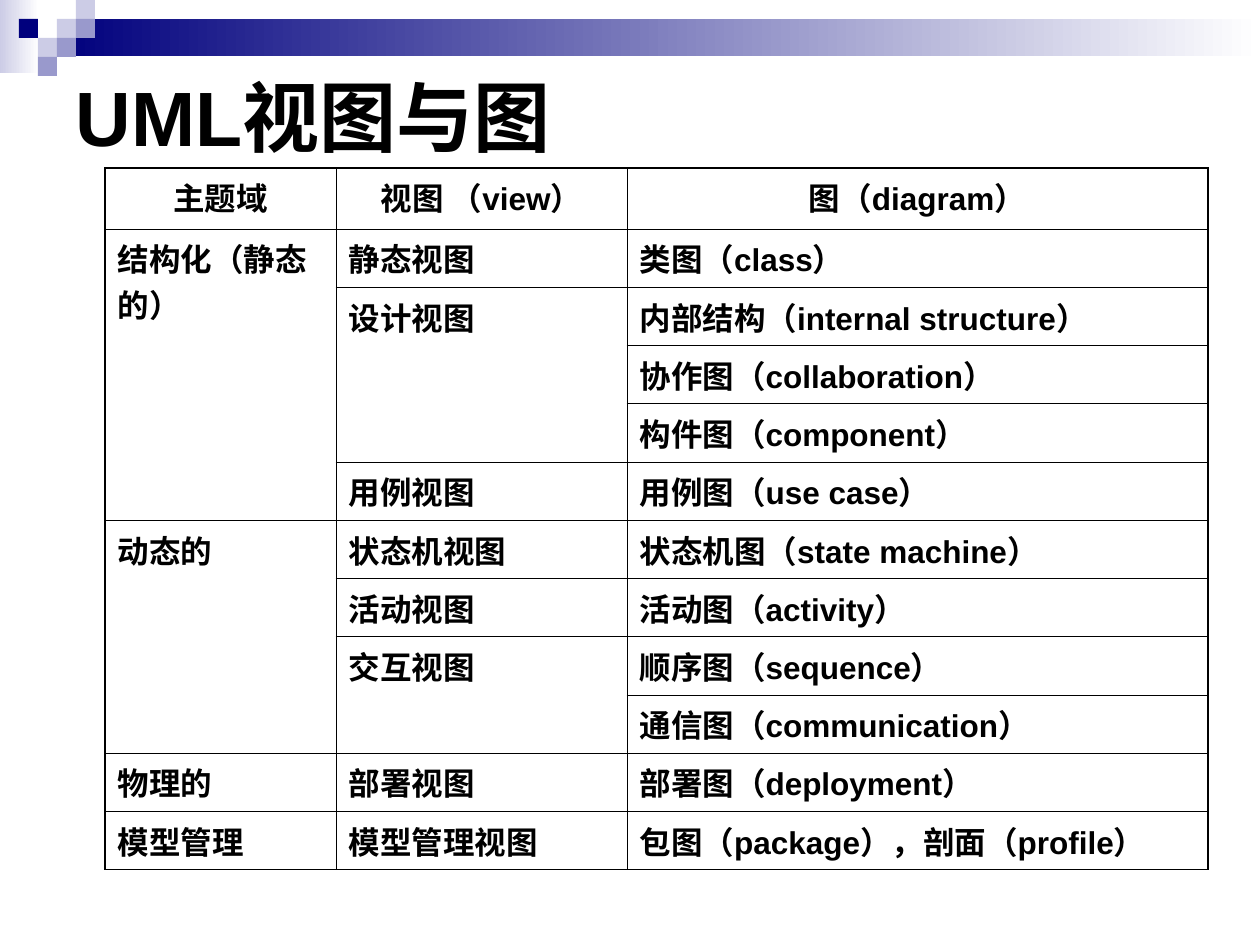
"""Build a slide with a table of UML views and diagrams."""
import pptx
import pptx.dml.color
import pptx.enum.shapes
import pptx.enum.text
import pptx.oxml
import pptx.oxml.ns
import pptx.util

TITLE = "UML视图与图"
HEAD = ("主题域", "视图 （view）", "图（diagram）")
AREAS = [
    ("结构化（静态的）", [
        ("静态视图", ["类图（class）"]),
        ("设计视图", ["内部结构（internal structure）", "协作图（collaboration）",
                  "构件图（component）"]),
        ("用例视图", ["用例图（use case）"]),
    ]),
    ("动态的", [
        ("状态机视图", ["状态机图（state machine）"]),
        ("活动视图", ["活动图（activity）"]),
        ("交互视图", ["顺序图（sequence）", "通信图（communication）"]),
    ]),
    ("物理的", [("部署视图", ["部署图（deployment）"])]),
    ("模型管理", [("模型管理视图", ["包图（package），剖面（profile）"])]),
]
COLS = [231, 291, 581]
ROWS = [61, 57, 53, 54, 53, 53, 50, 53, 54, 54, 53, 53]
BANDS = [((0, 0, 39, 73), "pale"), ((57, 19, 1203, 37), "navy")]
TILE = 19
TILES = [(3, 1, "pale"), (4, 0, "pale"), (4, 1, "mid"), (2, 2, "pale"),
         (1, 1, "navy"), (3, 2, "mid"), (2, 3, "mid")]
THEME = {
    "font": "Arial", "title": 44, "body": 18, "space": 4.5,
    "thin": 0.45, "thick": 1.08,
    "ink": "000000", "paper": "FFFFFF",
    "navy": "00007D", "mid": "9999CC", "pale": "CCCCE6",
}
SCALE = 914400 / 126


def px(num):
    return pptx.util.Emu(round(num * SCALE))


def hue(name):
    return pptx.dml.color.RGBColor.from_string(THEME[name])


def add_run(para, text, size):
    run = para.add_run()
    run.text = text
    font = run.font
    font.name = THEME["font"]
    font.size = pptx.util.Pt(THEME[size])
    font.bold = True
    font.color.rgb = hue("ink")


def add_box(slide, box):
    kind = pptx.enum.shapes.MSO_SHAPE.RECTANGLE
    shape = slide.shapes.add_shape(kind, *map(px, box))
    shape.shadow.inherit = False
    shape.line.fill.background()
    return shape


def add_trim(slide):
    for box, tone in BANDS:
        fill = add_box(slide, box).fill
        fill.gradient()
        fill.gradient_angle = 0
        for stop, name, at in zip(fill.gradient_stops, (tone, "paper"), (0, 1)):
            stop.color.rgb = hue(name)
            stop.position = at
    for col, row, tone in TILES:
        fill = add_box(slide, (col * TILE, row * TILE, TILE, TILE)).fill
        fill.solid()
        fill.fore_color.rgb = hue(tone)


def add_title(slide):
    title = slide.shapes.title
    title.left, title.top, title.width, title.height = map(px, (63, 63, 1134, 105))
    frame = title.text_frame
    frame.word_wrap = True
    frame.auto_size = pptx.enum.text.MSO_AUTO_SIZE.NONE
    frame.vertical_anchor = pptx.enum.text.MSO_ANCHOR.MIDDLE
    para = frame.paragraphs[0]
    para.alignment = pptx.enum.text.PP_ALIGN.LEFT
    add_run(para, TITLE, "title")


def set_edges(cell, row, col):
    outer = {"L": col == 0, "R": col == len(COLS) - 1,
             "T": row == 0, "B": row == len(ROWS) - 1}
    props = cell._tc.get_or_add_tcPr()
    space = pptx.oxml.ns.nsdecls("a")
    for spot, (side, edge) in enumerate(outer.items()):
        width = pptx.util.Pt(THEME["thick" if edge else "thin"])
        props.insert(spot, pptx.oxml.parse_xml(
            f'<a:ln{side} {space} w="{width}"><a:solidFill>'
            f'<a:srgbClr val="{THEME["ink"]}"/></a:solidFill></a:ln{side}>'))


def put_text(cell, text, align):
    para = cell.text_frame.paragraphs[0]
    para.alignment = align
    para.space_before = pptx.util.Pt(THEME["space"])
    add_run(para, text, "body")


def add_grid(slide):
    frame = slide.shapes.add_table(
        len(ROWS), len(COLS), *map(px, (105, 168, sum(COLS), sum(ROWS))))
    grid = frame.table
    grid.first_row = grid.horz_banding = False
    for part, size in zip(grid.columns, COLS):
        part.width = px(size)
    for part, size in zip(grid.rows, ROWS):
        part.height = px(size)
    for row in range(len(ROWS)):
        for col in range(len(COLS)):
            cell = grid.cell(row, col)
            cell.fill.background()
            set_edges(cell, row, col)

    def put_span(row, col, count, text):
        cell = grid.cell(row, col)
        if count > 1:
            cell.merge(grid.cell(row + count - 1, col))
        put_text(cell, text, pptx.enum.text.PP_ALIGN.LEFT)

    for col, text in enumerate(HEAD):
        put_text(grid.cell(0, col), text, pptx.enum.text.PP_ALIGN.CENTER)
    row = 1
    for area, views in AREAS:
        put_span(row, 0, sum(len(items) for _, items in views), area)
        for view, items in views:
            put_span(row, 1, len(items), view)
            for item in items:
                put_span(row, 2, 1, item)
                row += 1


def main():
    deck = pptx.Presentation()
    deck.slide_width, deck.slide_height = px(1260), px(945)
    slide = deck.slides.add_slide(deck.slide_layouts[5])
    add_trim(slide)
    add_title(slide)
    add_grid(slide)
    deck.save("out.pptx")


if __name__ == "__main__":
    main()
